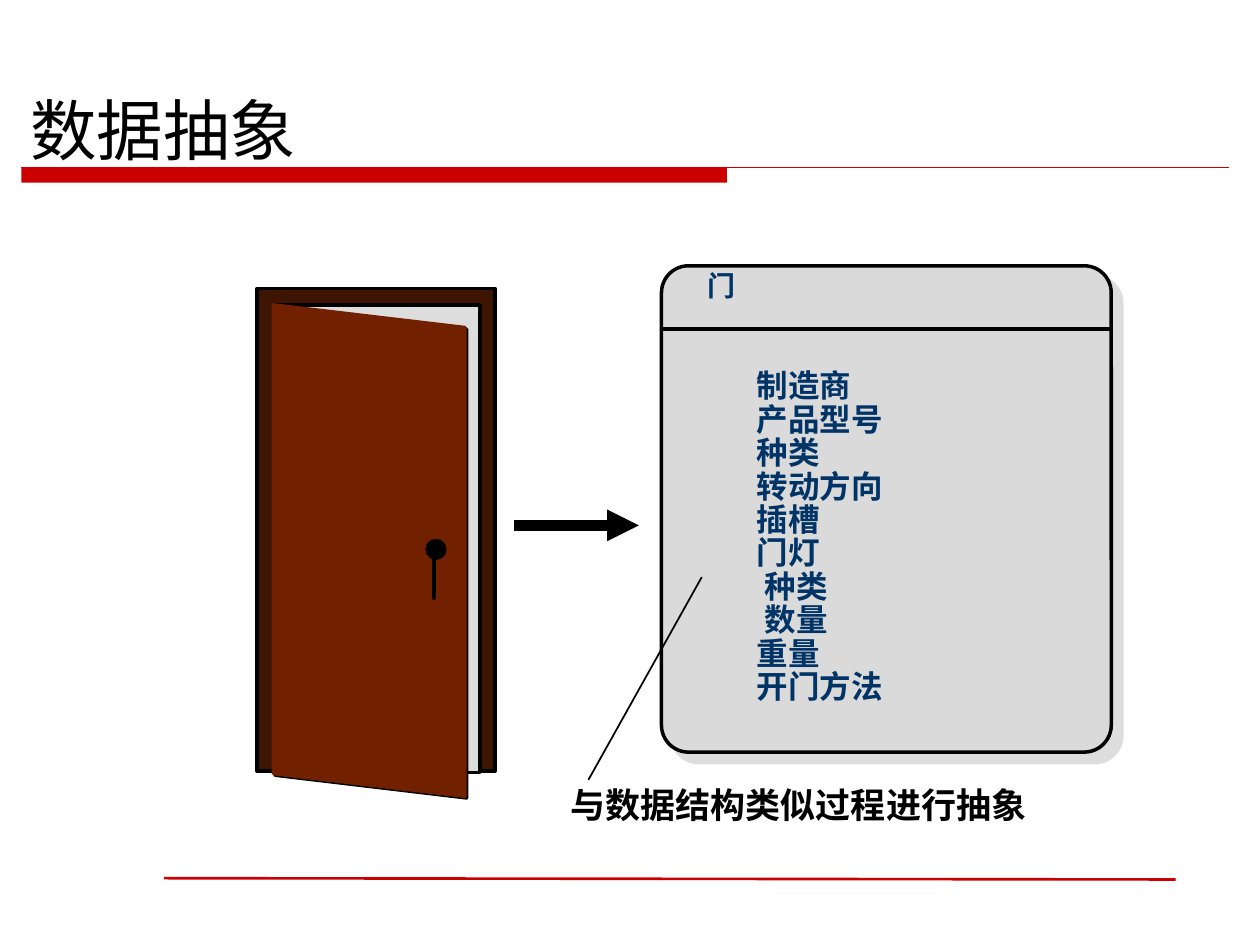
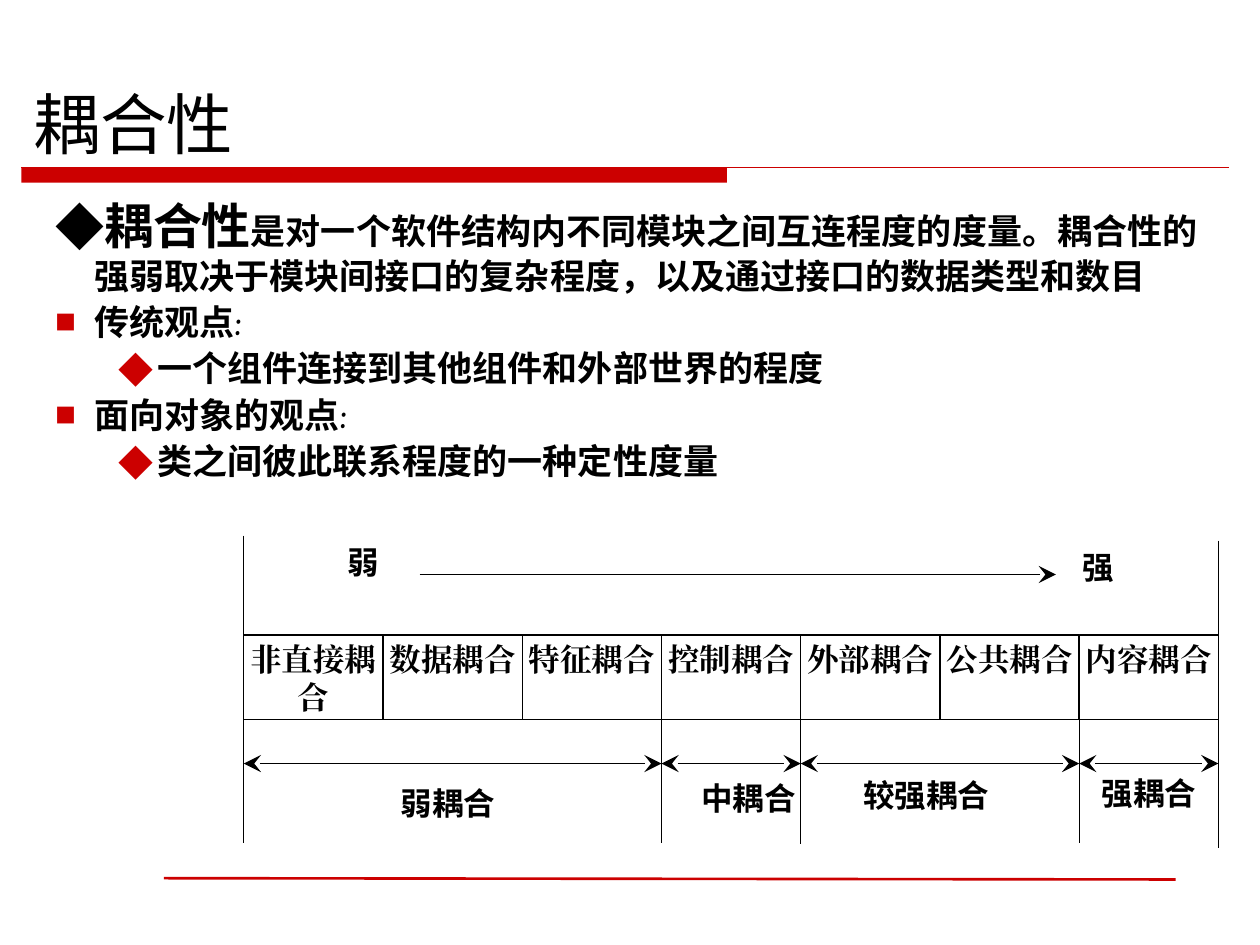
from copy import deepcopy

from lxml.etree import SubElement
from pptx import Presentation
from pptx.dml.color import RGBColor
from pptx.enum.shapes import MSO_CONNECTOR, MSO_SHAPE
from pptx.enum.text import MSO_ANCHOR, PP_ALIGN
from pptx.oxml.ns import qn
from pptx.util import Inches, Pt

COLORS = {
    "accent": "CC0000", "ink": "000000", "navy": "003366", "white": "FFFFFF",
    "card": "DADADA", "gap": "DDDDDD", "frame": "3E1403", "leaf": "712000",
}

deck = Presentation()
deck.slide_width, deck.slide_height = Inches(10), Inches(7.5)
COL = deck.slide_width / 100
ROW = deck.slide_height / 75


def box(slide, preset, cell, fill=None, line=None, width=0.75, text="", size=18,
        font="DejaVu Sans", color="ink", bold=True, align=PP_ALIGN.LEFT,
        inset=(1, 0.5), anchor=MSO_ANCHOR.TOP):
    """Place a preset shape, or a text box if preset is None, at grid cell (left, top, columns, rows)."""
    place = [round(value * unit) for value, unit in zip(cell, (COL, ROW, COL, ROW))]
    if preset is None:
        shape = slide.shapes.add_textbox(*place)
    else:
        shape = slide.shapes.add_shape(preset, *place)
        shape.shadow.inherit = False
    for paint, name in ((shape.fill, fill), (shape.line.fill, line)):
        if name:
            paint.solid()
            paint.fore_color.rgb = RGBColor.from_string(COLORS[name])
        else:
            paint.background()
    if line:
        shape.line.width = Pt(width)
    if text:
        frame = shape.text_frame
        frame.text = text
        frame.word_wrap = True
        frame.vertical_anchor = anchor
        frame.margin_left = frame.margin_right = round(inset[0] * COL)
        frame.margin_top = frame.margin_bottom = round(inset[1] * ROW)
        for paragraph in frame.paragraphs:
            paragraph.alignment = align
            for run in paragraph.runs:
                run.font.size = Pt(size)
                run.font.bold = bold
                run.font.color.rgb = RGBColor.from_string(COLORS[color])
                run.font.name = font
                SubElement(run.font._element, qn("a:ea"), typeface=font)
    return shape


def stroke(slide, start, end, color="ink", width=0.75, **ends):
    """Draw a line between grid points; ends maps headEnd or tailEnd to (arrow type, size)."""
    line = slide.shapes.add_connector(
        MSO_CONNECTOR.STRAIGHT, round(start[0] * COL), round(start[1] * ROW),
        round(end[0] * COL), round(end[1] * ROW))
    line.line.color.rgb = RGBColor.from_string(COLORS[color])
    line.line.width = Pt(width)
    for tag in ("headEnd", "tailEnd"):
        if tag in ends:
            arrow, size = ends[tag]
            SubElement(line.line._get_or_add_ln(), qn(f"a:{tag}"), type=arrow, w=size, len=size)
    SubElement(line._element.spPr, qn("a:effectLst"))


# Shared title, band and footer rule
titles = [
    ("数据抽象", "DejaVu Sans", 6.7, 0.7, MSO_ANCHOR.TOP),
    ("耦合性", "Noto Sans CJK SC", 6, 1, MSO_ANCHOR.BOTTOM),
]
slides = []
for title, font, top, margin, anchor in titles:
    slide = deck.slides.add_slide(deck.slide_layouts[6])
    box(slide, MSO_SHAPE.RECTANGLE, (1.7, 13.3, 56, 1.2), fill="accent")
    stroke(slide, (1.7, 13.3), (97.5, 13.3), "accent")
    stroke(slide, (13, 69.7), (93.3, 69.8), "accent", 1.5)
    box(slide, None, (1.7, top, 97.5, 7.3), text=title, size=38, font=font,
        bold=False, inset=(margin, 0.4), anchor=anchor)
    slides.append(slide)
abstraction, coupling = slides

# Slide 1: the door's data structure
card = box(abstraction, MSO_SHAPE.ROUNDED_RECTANGLE, (52.5, 21.1, 35.7, 38.6),
           "card", "ink", 2)
card.adjustments[0] = 0.06
effects = card._element.spPr.find(qn("a:effectLst"))
shadow = SubElement(effects, qn("a:outerShdw"), dist=str(Pt(8.5)), dir="2700000",
                    algn="ctr", rotWithShape="0")
SubElement(shadow, qn("a:srgbClr"), val=COLORS["gap"])
stroke(abstraction, (52.5, 26.1), (88.1, 26.1), width=2)
box(abstraction, None, (55.2, 20.8, 6, 3.6), text="门", size=16, color="navy")
stroke(abstraction, (55.7, 45.8), (46.7, 61.9), width=1)
box(abstraction, None, (44.3, 61.7, 40, 4.3), text="与数据结构类似过程进行抽象", size=20)

attributes = [
    ("制造商", 0), ("产品型号", 0), ("种类", 0), ("转动方向", 0), ("插槽", 0),
    ("门灯", 0), ("种类", 1), ("数量", 1), ("重量", 0), ("开门方法", 0),
]
for index, (attribute, level) in enumerate(attributes):
    box(abstraction, None, (59.1 + 0.6 * level, 28.6 + 2.65 * index, 16, 4),
        text=attribute, color="navy")

# Slide 1: the door itself
box(abstraction, MSO_SHAPE.RECTANGLE, (20.4, 22.9, 18.9, 38.3), "frame", "ink", 2)
box(abstraction, MSO_SHAPE.RECTANGLE, (21.7, 24.2, 16.4, 37.1), "gap", "ink", 2)
for offset, color in ((0.13, "ink"), (0, "leaf")):
    corners = [(round((x + offset) * COL), round((y + offset) * ROW))
               for x, y in ((21.7, 24.2), (36.9, 26), (36.9, 63.2), (21.7, 61.4))]
    outline = abstraction.shapes.build_freeform(*corners[0])
    outline.add_line_segments(corners[1:], close=True)
    leaf = outline.convert_to_shape()
    leaf.shadow.inherit = False
    leaf.fill.solid()
    leaf.fill.fore_color.rgb = leaf.line.color.rgb = RGBColor.from_string(COLORS[color])
    leaf.line.width = Pt(2)
box(abstraction, MSO_SHAPE.OVAL, (33.9, 42.9, 1.4, 1.4), "ink", "ink", 2)
box(abstraction, MSO_SHAPE.RECTANGLE, (34.4, 44.2, 0.1, 3.3), "ink", "ink", 2)
stroke(abstraction, (40.8, 41.7), (50.7, 41.7), width=6, tailEnd=("triangle", "med"))

# Slide 2: definition and viewpoints
points = [
    ("耦合性", "◆", "ink", 100, 0),
    ("传统观点:", "■", "accent", 60, 0),
    ("一个组件连接到其他组件和外部世界的程度", "◆", "accent", 100, 1),
    ("面向对象的观点:", "■", "accent", 60, 0),
    ("类之间彼此联系程度的一种定性度量", "◆", "accent", 100, 1),
]
body = box(coupling, None, (3.4, 15, 93.2, 23.8), size=20, font="Comic Neue",
           text="\n".join(point[0] for point in points))
for paragraph, (_, mark, color, percent, level) in zip(body.text_frame.paragraphs, points):
    properties = paragraph._p.get_or_add_pPr()
    properties.set("marL", str(round((3.1 + 5 * level) * COL)))
    properties.set("indent", str(round(-3.1 * COL)))
    SubElement(SubElement(properties, qn("a:buClr")), qn("a:srgbClr"), val=COLORS[color])
    SubElement(properties, qn("a:buSzPct"), val=str(percent * 1000))
    SubElement(properties, qn("a:buFont"), typeface="Noto Sans CJK SC")
    SubElement(properties, qn("a:buChar"), char=mark)
    paragraph.level = level
for paragraph in body.text_frame.paragraphs[1:]:
    paragraph.line_spacing = 0.9
    paragraph.space_before = Pt(5)
definition = body.text_frame.paragraphs[0]
term = definition.runs[0]
definition._p.append(deepcopy(term._r))
definition.runs[1].text = ("是对一个软件结构内不同模块之间互连程度的度量。耦合性的"
                           "强弱取决于模块间接口的复杂程度，以及通过接口的数据类型和数目")
term.font.size = Pt(28)

# Slide 2: coupling scale, one column per kind
SCALE_LEFT, KIND_WIDTH = 19.35, 11.05
kinds = ["非直接耦合", "数据耦合", "特征耦合", "控制耦合", "外部耦合", "公共耦合", "内容耦合"]
for index, kind in enumerate(kinds):
    box(coupling, MSO_SHAPE.RECTANGLE,
        (SCALE_LEFT + index * KIND_WIDTH, 50.4, KIND_WIDTH, 6.7), "white", "ink",
        text=kind, font="Times New Roman", align=PP_ALIGN.CENTER, inset=(0.2, 0.4))

scale_labels = [
    ("弱", 27, 42.7, 3.7, 5.5), ("强", 85.3, 43.1, 3.7, 5.5),
    ("弱耦合", 30.7, 61.8, 9.7, 6.7), ("中耦合", 54.7, 61.4, 9.4, 6.7),
    ("较强耦合", 67.8, 61.2, 11.4, 6.7), ("强耦合", 86.5, 61, 9.4, 6.7),
]
for label, *cell in scale_labels:
    box(coupling, MSO_SHAPE.RECTANGLE, cell, "white", text=label, font="Calibri",
        align=PP_ALIGN.CENTER, inset=(0.2, 0.4))

dart = ("stealth", "lg")
stroke(coupling, (33.3, 45.6), (83.8, 45.6), tailEnd=dart)
group_edges = [SCALE_LEFT + KIND_WIDTH * column for column in (0, 3, 4, 6, 7)]
for left, right in zip(group_edges, group_edges[1:]):
    stroke(coupling, (left, 60.6), (right, 60.6), headEnd=dart, tailEnd=dart)
for edge, top, bottom in zip(group_edges, (42.5, 57, 57, 57, 42.9), (66.9, 66.9, 67, 66.9, 67.3)):
    stroke(coupling, (edge, top), (edge, bottom))

deck.save("out.pptx")
